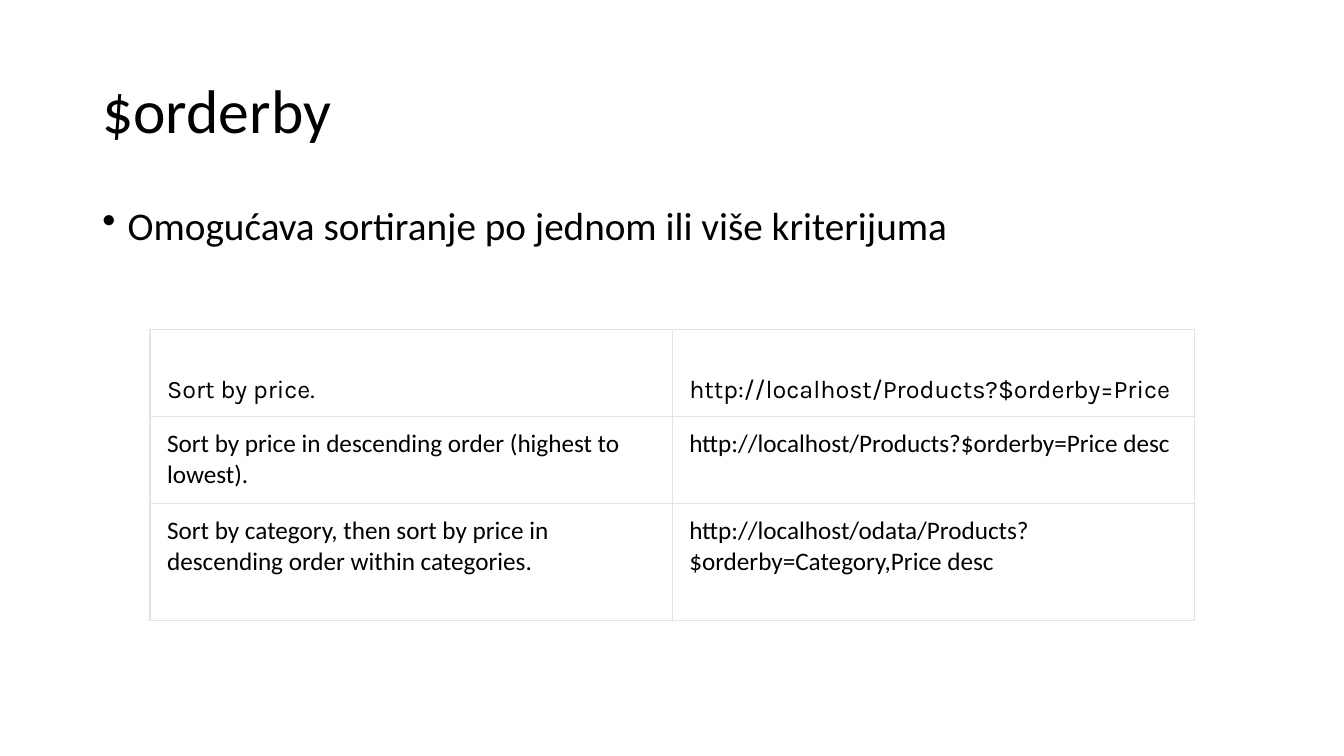
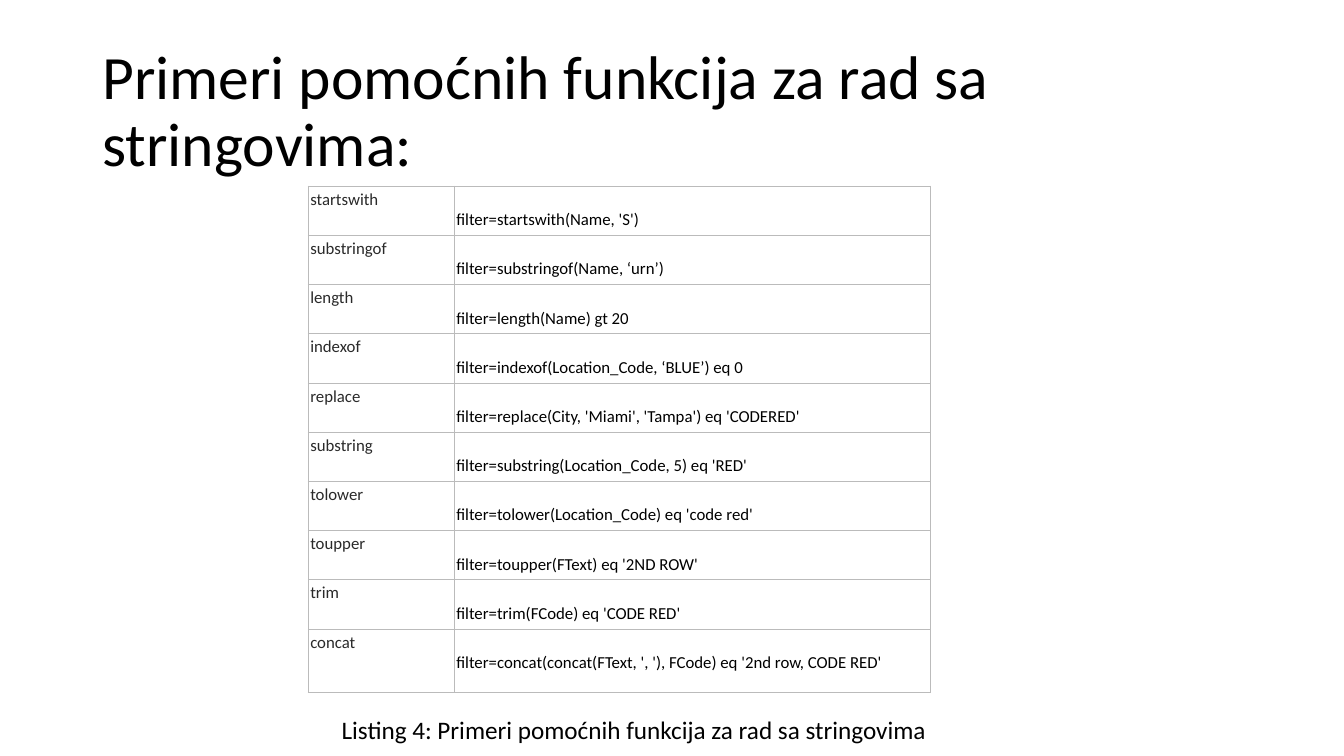
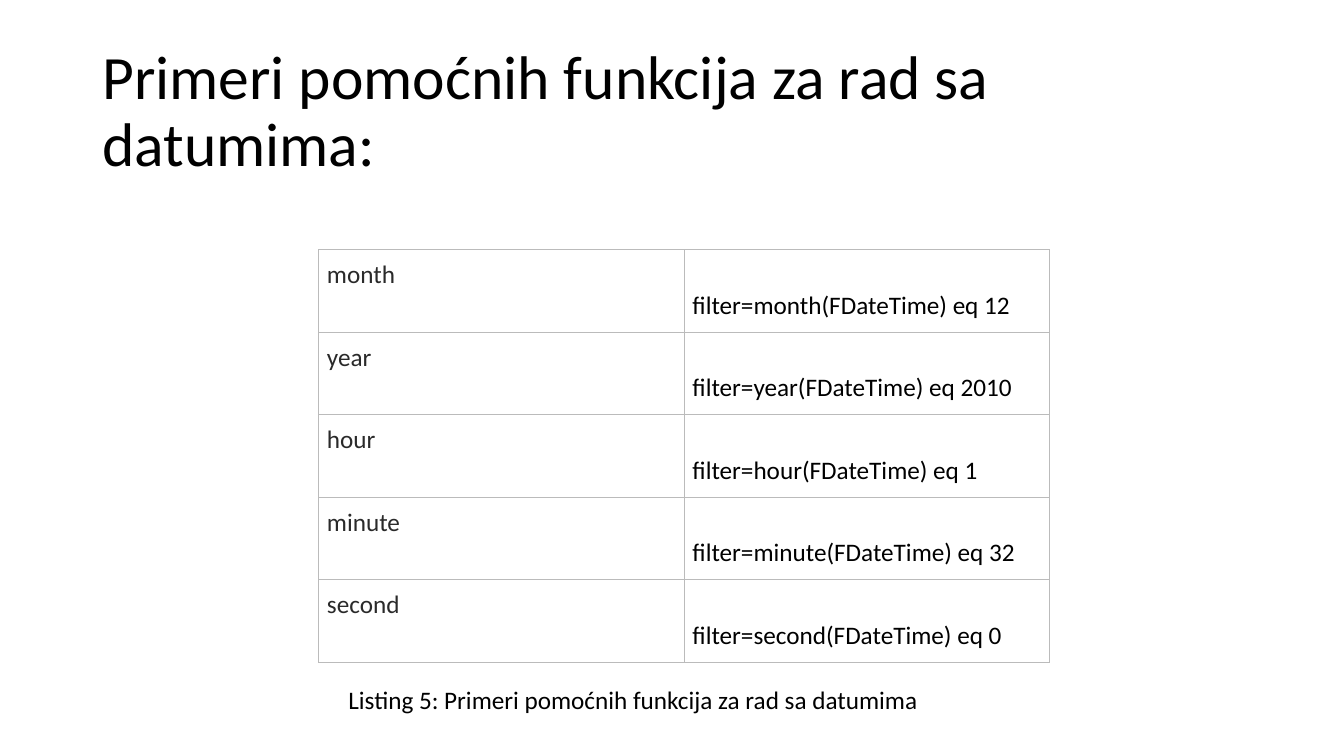
import dataclasses

import pptx
import pptx.dml.color
import pptx.enum.text
import pptx.oxml
import pptx.oxml.ns
import pptx.util
from pptx.util import Cm, Pt

ANCHOR = pptx.enum.text.MSO_ANCHOR


@dataclasses.dataclass(frozen=True)
class Theme:
    font: str = "Calibri"
    accent_font: str = "Karla"
    text: str = "000000"
    key: str = "2A2A2A"
    paper: str = "FFFFFF"
    light_line: str = "E3E3E3"
    line: str = "BBBBBB"
    title: int = 44
    body: int = 28
    normal: int = 18
    small: int = 12
    thin: float = 0.75
    line_height: float = 1.22  # height of one text line, in font sizes


T = Theme()

SORTING = [
    ("Sort by price.", "http://localhost/Products?$orderby=Price"),
    ("Sort by price in descending order (highest to lowest).",
     "http://localhost/Products?$orderby=Price desc"),
    ("Sort by category, then sort by price in descending order within categories.",
     "http://localhost/odata/Products?$orderby=Category,Price desc"),
]
STRINGS = [
    ("startswith", "filter=startswith(Name, 'S')"),
    ("substringof", "filter=substringof(Name, ‘urn’)"),
    ("length", "filter=length(Name) gt 20"),
    ("indexof", "filter=indexof(Location_Code, ‘BLUE’) eq 0"),
    ("replace", "filter=replace(City, 'Miami', 'Tampa') eq 'CODERED'"),
    ("substring", "filter=substring(Location_Code, 5) eq 'RED'"),
    ("tolower", "filter=tolower(Location_Code) eq 'code red'"),
    ("toupper", "filter=toupper(FText) eq '2ND ROW'"),
    ("trim", "filter=trim(FCode) eq 'CODE RED'"),
    ("concat", "filter=concat(concat(FText, ', '), FCode) eq '2nd row, CODE RED'"),
]
DATES = [
    ("month", "filter=month(FDateTime) eq 12"),
    ("year", "filter=year(FDateTime) eq 2010"),
    ("hour", "filter=hour(FDateTime) eq 1"),
    ("minute", "filter=minute(FDateTime) eq 32"),
    ("second", "filter=second(FDateTime) eq 0"),
]


# Text
def write(tf, text, size=T.normal, color=T.text, font=T.font, spacing=None):
    p = tf.paragraphs[0]
    if spacing:
        p.line_spacing = spacing
    r = p.add_run()
    r.text = text
    r.font.size = Pt(size)
    r.font.name = font
    r.font.color.rgb = pptx.dml.color.RGBColor.from_string(color)
    return p


def add_text(s, text, left, top, width, height, anchor=ANCHOR.TOP, **style):
    tf = s.shapes.add_textbox(Cm(left), Cm(top), Cm(width), Cm(height)).text_frame
    tf.word_wrap = True
    tf.vertical_anchor = anchor
    return write(tf, text, **style)


def add_bullet(s, text):
    p = add_text(s, text, 2.33, 5.08, 29.21, 12.09, size=T.body, spacing=0.9)
    p.space_before = Pt(10)
    pPr = p._p.get_or_add_pPr()
    pPr.set("marL", str(Cm(0.64)))
    pPr.set("indent", str(-Cm(0.64)))
    pPr.append(pptx.oxml.parse_xml(
        f'<a:buChar {pptx.oxml.ns.nsdecls("a")} char="•"/>'))


def add_caption(s, text, left, top):
    add_text(s, text, left, top, 17.4, 1.02)


# Tables
def set_borders(cell, color, widths):
    """Line widths in points, in the order left, right, top, bottom."""
    tcPr = cell._tc.get_or_add_tcPr()
    for side, width in zip("LRTB", widths):
        tcPr.append(pptx.oxml.parse_xml(
            f'<a:ln{side} {pptx.oxml.ns.nsdecls("a")} w="{Pt(width)}">'
            f'<a:solidFill><a:srgbClr val="{color}"/></a:solidFill></a:ln{side}>'))


def set_insets(cell, side, top, bottom):
    cell.margin_left = cell.margin_right = side
    cell.margin_top, cell.margin_bottom = top, bottom


def add_grid(s, rows, left, top, widths, heights):
    table = s.shapes.add_table(len(rows), len(widths), Cm(left), Cm(top),
                               Cm(sum(widths)), Cm(sum(heights))).table
    table.first_row = table.horz_banding = False
    for column, width in zip(table.columns, widths):
        column.width = Cm(width)
    for row, height in zip(table.rows, heights):
        row.height = Cm(height)
    return table


def add_sorting_table(s):
    table = add_grid(s, SORTING, 3.78, 8.31, [13.16] * 2, [2.19, 2.19, 2.95])
    last = len(SORTING) - 1
    for i, row in enumerate(SORTING):
        first = i == 0
        widths = (1, 1, 1 if first else T.thin, 1 if i == last else T.thin)
        for j, text in enumerate(row):
            cell = table.cell(i, j)
            set_insets(cell, Cm(0.43), Cm(0.3), Cm(0.3))
            set_borders(cell, T.light_line, widths)
            cell.fill.solid()
            cell.fill.fore_color.rgb = pptx.dml.color.RGBColor.from_string(T.paper)
            cell.vertical_anchor = ANCHOR.BOTTOM if first else ANCHOR.TOP
            write(cell.text_frame, text, font=T.accent_font if first else T.font)


def add_function_table(s, rows, left, top, widths, heights, size, side, edge):
    """Function names on the left, examples one line lower on the right."""
    table = add_grid(s, rows, left, top, widths, heights)
    for i, row in enumerate(rows):
        for j, text in enumerate(row):
            cell = table.cell(i, j)
            drop = Pt(size * T.line_height * j)
            set_insets(cell, Cm(side), Cm(edge) + drop, Cm(edge))
            set_borders(cell, T.line, [T.thin] * 4)
            cell.fill.background()
            write(cell.text_frame, text, size=size, color=T.text if j else T.key)


# Slides
def add_slide(prs, title):
    s = prs.slides.add_slide(prs.slide_layouts[6])
    add_text(s, title, 2.33, 1.01, 29.21, 3.68, anchor=ANCHOR.MIDDLE,
             size=T.title, spacing=0.9)
    return s


def main():
    prs = pptx.Presentation()
    prs.slide_width, prs.slide_height = Cm(33.87), Cm(19.05)

    # Sorting
    s = add_slide(prs, "$orderby")
    add_bullet(s, "Omogućava sortiranje po jednom ili više kriterijuma")
    add_sorting_table(s)

    # String functions
    s = add_slide(prs, "Primeri pomoćnih funkcija za rad sa stringovima:")
    add_function_table(s, STRINGS, 7.77, 4.69, [3.68, 12], [1.24] * 9 + [1.59],
                       size=T.small, side=0.05, edge=0.08)
    add_caption(s, "Listing 4: Primeri pomoćnih funkcija za rad sa stringovima",
                8.36, 17.88)

    # Date functions
    s = add_slide(prs, "Primeri pomoćnih funkcija za rad sa datumima:")
    add_function_table(s, DATES, 8.03, 6.29, [9.21] * 2, [2.08] * 5,
                       size=T.normal, side=0.21, edge=0.25)
    add_caption(s, "Listing 5: Primeri pomoćnih funkcija za rad sa datumima",
                8.53, 17.12)

    prs.save("out.pptx")


main()
